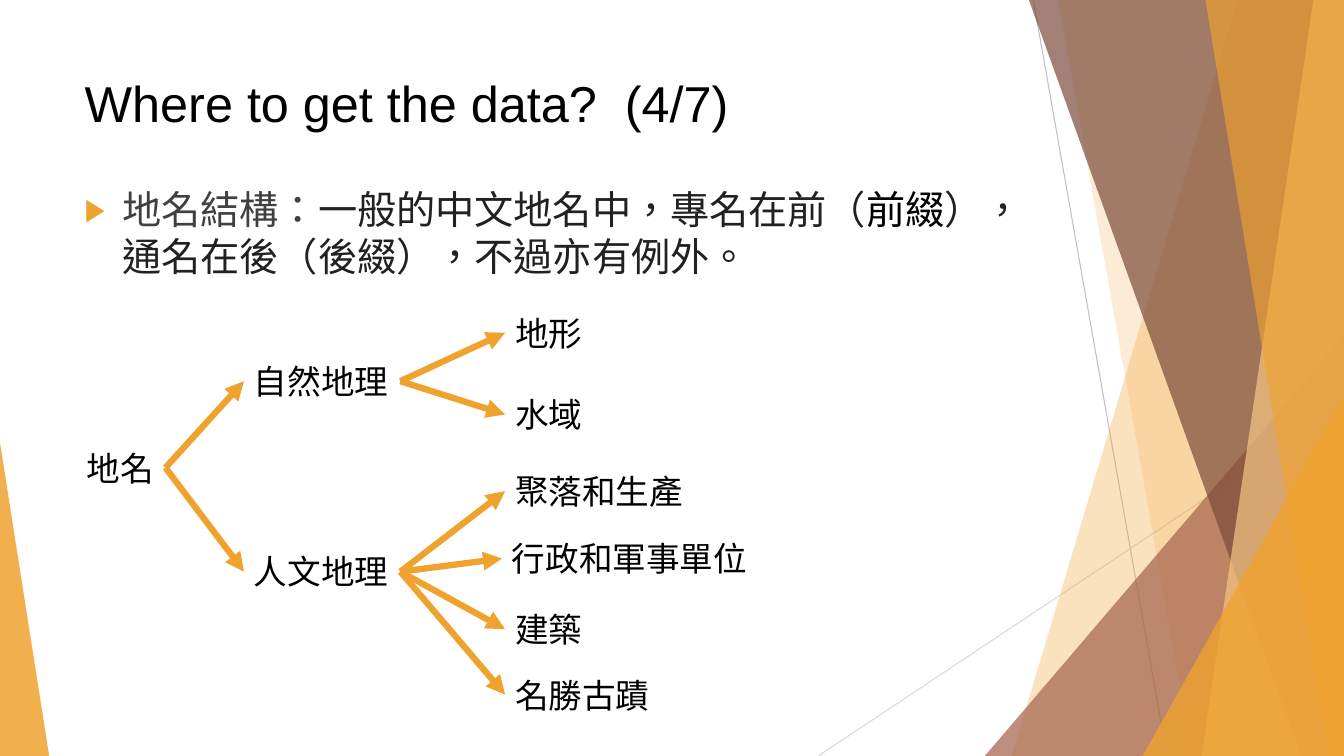
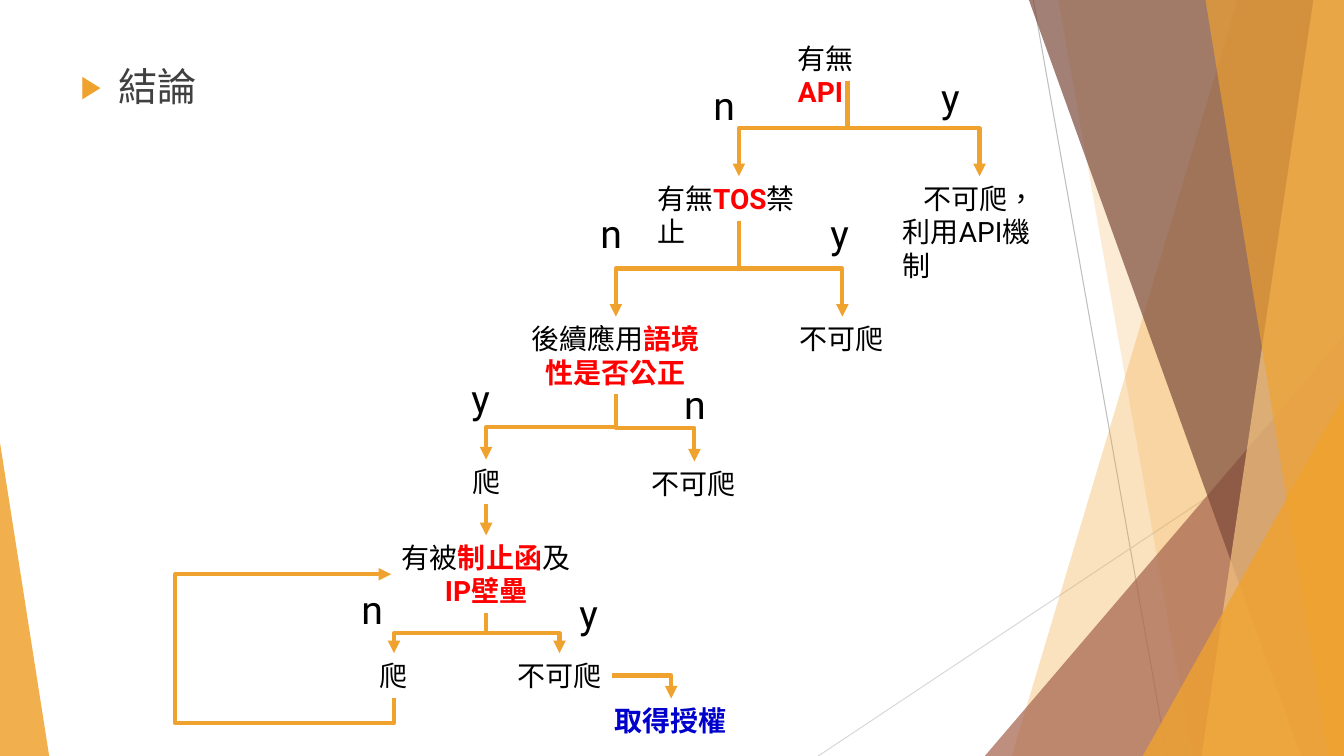
from dataclasses import dataclass

from lxml.etree import SubElement
from pptx import Presentation
from pptx.dml.color import RGBColor
from pptx.enum.shapes import MSO_CONNECTOR as Link, MSO_SHAPE as Preset
from pptx.enum.text import MSO_ANCHOR as Anchor, MSO_AUTO_SIZE as AutoSize, PP_ALIGN as Align
from pptx.oxml.ns import qn
from pptx.util import Cm, Pt

TOP, LEFT, BOTTOM, RIGHT = range(4)


@dataclass(frozen=True)
class Theme:
    orange: str = "F0A22E"
    sand: str = "F6C782"
    rust: str = "A5644E"
    brown: str = "7C4B3B"
    grey: str = "BFBFBF"
    pale_grey: str = "D9D9D9"
    ink: str = "000000"
    body: str = "404040"
    dark: str = "202122"
    red: str = "FF0000"
    blue: str = "0000CC"
    title_font: str = "Arial"
    font: str = "Roboto"
    title_size: int = 36
    body_size: int = 28
    tree_size: int = 24
    flow_size: int = 20


@dataclass(frozen=True)
class Box:
    """A region in centimetres."""
    left: float
    top: float
    width: float
    height: float

    def inner(self, left, top, width, height):
        return Box(self.left + left, self.top + top, width, height)

    def lengths(self):
        return Cm(self.left), Cm(self.top), Cm(self.width), Cm(self.height)


THEME = Theme()
PAGE = Box(0, 0, 33.87, 19.05)


def write(paragraph, text, size=THEME.flow_size, color=THEME.ink, font=THEME.font, bold=False):
    run = paragraph.add_run()
    run.text = text
    run.font.size = Pt(size)
    run.font.name = font
    run.font.bold = bold
    run.font.color.rgb = RGBColor.from_string(color)
    properties = run._r.get_or_add_rPr()
    properties.set("lang", "zh-TW")
    SubElement(properties, qn("a:ea")).set("typeface", font)


def add_label(slide, box, text, align=None, emphasis=THEME.red, **text_format):
    """Add a text box; parts between asterisks are bold in the emphasis colour."""
    shape = slide.shapes.add_textbox(*box.lengths())
    frame = shape.text_frame
    frame.word_wrap = True
    frame.auto_size = AutoSize.NONE
    for index, line in enumerate(text.split("\n")):
        paragraph = frame.add_paragraph() if index else frame.paragraphs[0]
        if align is not None and index == 0:
            paragraph.alignment = align
        for part, words in enumerate(line.split("*")):
            if words:
                accent = {"color": emphasis, "bold": True} if part % 2 else {}
                write(paragraph, words, **{**text_format, **accent})
    return shape


def style_line(connector, color, width, arrow=False):
    connector.line.color.rgb = RGBColor.from_string(color)
    connector.line.width = Pt(width)
    properties = connector._element.spPr
    if arrow:
        SubElement(properties.find(qn("a:ln")), qn("a:tailEnd")).set("type", "triangle")
    SubElement(properties, qn("a:effectLst"))


def join(slide, start, end, start_side, end_side, kind=Link.STRAIGHT, width=3):
    connector = slide.shapes.add_connector(kind, 0, 0, 0, 0)
    connector.begin_connect(start, start_side)
    connector.end_connect(end, end_side)
    style_line(connector, THEME.orange, width, arrow=True)
    return connector


def set_elbow(connector, preset, *adjustments):
    geometry = connector._element.spPr.find(qn("a:prstGeom"))
    geometry.set("prst", preset)
    guides = geometry.find(qn("a:avLst"))
    if guides is None:
        guides = SubElement(geometry, qn("a:avLst"))
    for number, value in enumerate(adjustments, 1):
        guide = SubElement(guides, qn("a:gd"))
        guide.set("name", f"adj{number}")
        guide.set("fmla", f"val {round(value * 100000)}")


def turn_upright(connector):
    """Rotate an elbow so that it leaves vertically; return its horizontal and vertical span."""
    across = connector.end_x - connector.begin_x
    down = connector.end_y - connector.begin_y
    middle_x = (connector.begin_x + connector.end_x) // 2
    middle_y = (connector.begin_y + connector.end_y) // 2
    connector.width, connector.height = abs(down), abs(across)
    connector.left = middle_x - abs(down) // 2
    connector.top = middle_y - abs(across) // 2
    transform = connector._element.spPr.find(qn("a:xfrm"))
    transform.set("rot", str((90 if across < 0 else 270) * 60000))
    transform.set("flipH", str(int((across < 0) == (down < 0))))
    transform.set("flipV", "0")
    return abs(across), abs(down)


def paint(shape, color, opacity):
    shape.shadow.inherit = False
    shape.line.fill.background()
    shape.fill.solid()
    shape.fill.fore_color.rgb = RGBColor.from_string(color)
    color_element = shape._element.spPr.find(qn("a:solidFill"))[0]
    SubElement(color_element, qn("a:alpha")).set("val", str(opacity * 1000))


def add_band(slide, box, top_x, bottom_x, color, opacity):
    """Add a band with a slanted left edge that reaches the right of the box."""
    right, bottom = box.left + box.width, box.top + box.height
    corners = [(right, box.top), (right, bottom), (box.left + bottom_x, bottom)]
    builder = slide.shapes.build_freeform(Cm(box.left + top_x), Cm(box.top))
    builder.add_line_segments([(Cm(x), Cm(y)) for x, y in corners])
    paint(builder.convert_to_shape(), color, opacity)


def add_corner(slide, box, width, height, apex, color, opacity):
    """Add a right triangle in the lower left (apex 0) or lower right (apex 1) corner."""
    place = box.inner((box.width - width) * apex, box.height - height, width, height)
    shape = slide.shapes.add_shape(Preset.ISOSCELES_TRIANGLE, *place.lengths())
    shape.adjustments[0] = apex
    paint(shape, color, opacity)


def add_backdrop(slide, box):
    for ends, color in (((26.04, 0, 29.41, 19.05), THEME.grey),
                        ((33.87, 10.24, 20.62, 19.05), THEME.pale_grey)):
        x1, y1, x2, y2 = ends
        line = slide.shapes.add_connector(Link.STRAIGHT, Cm(box.left + x1), Cm(box.top + y1),
                                          Cm(box.left + x2), Cm(box.top + y2))
        style_line(line, color, 0.75)
    add_band(slide, box, 31.19, 25.5, THEME.orange, 30)
    add_band(slide, box, 26.67, 30.05, THEME.orange, 20)
    add_corner(slide, box, 9.05, 10.59, 1, THEME.rust, 72)
    add_band(slide, box, 25.93, 32.79, THEME.brown, 70)
    add_band(slide, box, 33.1, 30.28, THEME.sand, 70)
    add_band(slide, box, 30.38, 33.48, THEME.orange, 65)
    add_corner(slide, box, 5.07, 9.07, 1, THEME.orange, 80)
    add_corner(slide, box, 1.24, 7.9, 0, THEME.orange, 85)


def share_backdrop(presentation, slide):
    """Draw the backdrop on a slide and hand it over to the slide master."""
    kept = set(slide.shapes._spTree)
    add_backdrop(slide, PAGE)
    master_tree = presentation.slide_master.shapes._spTree
    drawn = [element for element in slide.shapes._spTree if element not in kept]
    for index, element in enumerate(drawn):
        element.xpath(".//p:cNvPr")[0].set("id", str(100 + index))
        master_tree.insert(2 + index, element)


def fill_placeholder(placeholder, box):
    """Move a placeholder and return its first paragraph."""
    placeholder.left, placeholder.top, placeholder.width, placeholder.height = box.lengths()
    frame = placeholder.text_frame
    frame.word_wrap = True
    frame.auto_size = AutoSize.NONE
    frame.vertical_anchor = Anchor.TOP
    paragraph = frame.paragraphs[0]
    paragraph.alignment = Align.LEFT
    return paragraph


def fill_title(slide, box, text):
    paragraph = fill_placeholder(slide.shapes.title, box)
    write(paragraph, text, size=THEME.title_size, font=THEME.title_font)


def fill_body(slide, box, runs, font):
    paragraph = fill_placeholder(slide.placeholders[1], box)
    properties = paragraph._p.get_or_add_pPr()
    properties.set("marL", str(Cm(0.95)))
    properties.set("indent", str(-Cm(0.95)))
    SubElement(SubElement(properties, qn("a:buClr")), qn("a:srgbClr")).set("val", THEME.orange)
    for tag, name, value in (("a:buSzPct", "val", "80000"), ("a:buFont", "typeface", "Arial"),
                             ("a:buChar", "char", "▶")):
        SubElement(properties, qn(tag)).set(name, value)
    paragraph.space_before = Pt(0)
    for text, color in runs:
        write(paragraph, text, size=THEME.body_size, color=color, font=font)


def add_topic_tree(slide, box):
    topics = (
        ("地名", 0, 3.4, None),
        ("自然地理", 4.22, 1.22, "地名"),
        ("人文地理", 4.22, 6.02, "地名"),
        ("地形", 10.8, 0, "自然地理"),
        ("水域", 10.8, 2.06, "自然地理"),
        ("聚落和生產", 10.8, 3.99, "人文地理"),
        ("行政和軍事單位", 10.72, 5.69, "人文地理"),
        ("建築", 10.8, 7.47, "人文地理"),
        ("名勝古蹟", 10.8, 9.12, "人文地理"),
    )
    labels = {}
    for text, left, top, parent in topics:
        place = box.inner(left, top, 0.85 * len(text) + 0.54, 1.27)
        labels[text] = add_label(slide, place, text, size=THEME.tree_size)
        if parent:
            join(slide, labels[parent], labels[text], RIGHT, LEFT, width=4.5)


def add_decision_flow(slide, box):
    one_line, two_lines = 1.12, 1.96
    center = {"align": Align.CENTER}
    steps = {
        "api": ("有無*API*", 15.44, 0, 3, one_line, {}),
        "use api": ("不可爬，\n利用API機制", 18.08, 3.53, 4.37, two_lines, center),
        "tos": ("有無*TOS*禁止", 11.89, 3.53, 4.62, one_line, {}),
        "tos stop": ("不可爬", 15.49, 7.07, 2.64, one_line, {}),
        "fair": ("後續應用*語境性是否公正*", 8.71, 7.07, 4.78, two_lines, center),
        "fair stop": ("不可爬", 11.76, 10.72, 2.64, one_line, {}),
        "crawl": ("爬", 5.44, 10.67, 4.78, one_line, center),
        "notice": ("有被*制止函*及*IP壁壘*", 5.44, 12.58, 4.78, two_lines, center),
        "notice stop": ("不可爬", 8.36, 15.55, 2.64, one_line, {}),
        "crawl on": ("爬", 3.12, 15.55, 4.78, one_line, center),
        "licence": ("*取得授權*", 10.82, 16.69, 3.35, one_line, {"emphasis": THEME.blue}),
    }
    shapes = {name: add_label(slide, box.inner(*place), text, **text_format)
              for name, (text, *place, text_format) in steps.items()}

    branches = {"api": ("use api", "tos"), "tos": ("tos stop", "fair"),
                "fair": ("fair stop", "crawl"), "notice": ("notice stop", "crawl on")}
    for question, results in branches.items():
        for result in results:
            branch = join(slide, shapes[question], shapes[result], BOTTOM, TOP, Link.ELBOW)
            turn_upright(branch)
            set_elbow(branch, "bentConnector3", 0.5)
    join(slide, shapes["crawl"], shapes["notice"], BOTTOM, TOP)
    ask = join(slide, shapes["notice stop"], shapes["licence"], RIGHT, TOP, Link.ELBOW)
    set_elbow(ask, "bentConnector2")

    repeat = join(slide, shapes["crawl on"], shapes["notice"], BOTTOM, LEFT, Link.ELBOW)
    reach = repeat.begin_x - Cm(box.left)
    across, down = turn_upright(repeat)
    set_elbow(repeat, "bentConnector4", -Cm(0.64) / down, reach / across)

    answers = (("y", 19.05, 0.82), ("n", 13.31, 1.02), ("y", 16.26, 4.25), ("n", 10.46, 4.25),
               ("n", 12.57, 8.56), ("y", 7.21, 8.41), ("y", 9.93, 13.82), ("n", 4.44, 13.72))
    for text, left, top in answers:
        add_label(slide, box.inner(left, top, 1.07, 1.45), text, size=THEME.body_size)


def build_place_names(slide):
    fill_title(slide, Box(1.88, 1.7, 23.88, 3.66), "Where to get the data?  (4/7)")
    fill_body(slide, Box(1.88, 4.55, 23.88, 12.24), (
        ("地名結構：", THEME.body),
        ("一般的中文地名中，專名在前（", THEME.dark),
        ("前綴", THEME.ink),
        ("），通名在後（後綴），不過亦有例外。", THEME.dark),
    ), THEME.title_font)
    add_topic_tree(slide, Box(1.93, 7.75, 17.3, 10.4))


def build_conclusion(slide):
    title = slide.shapes.title._element
    title.getparent().remove(title)
    fill_body(slide, Box(1.78, 1.45, 23.88, 2.06), (("結論", THEME.body),), THEME.font)
    add_decision_flow(slide, Box(4.42, 0.91, 22.45, 17.8))


def main():
    presentation = Presentation()
    presentation.slide_width, presentation.slide_height = PAGE.lengths()[2:]
    layout = presentation.slide_layouts[1]
    slides = [presentation.slides.add_slide(layout) for _ in range(2)]
    share_backdrop(presentation, slides[0])
    build_place_names(slides[0])
    build_conclusion(slides[1])
    presentation.save("out.pptx")


if __name__ == "__main__":
    main()
